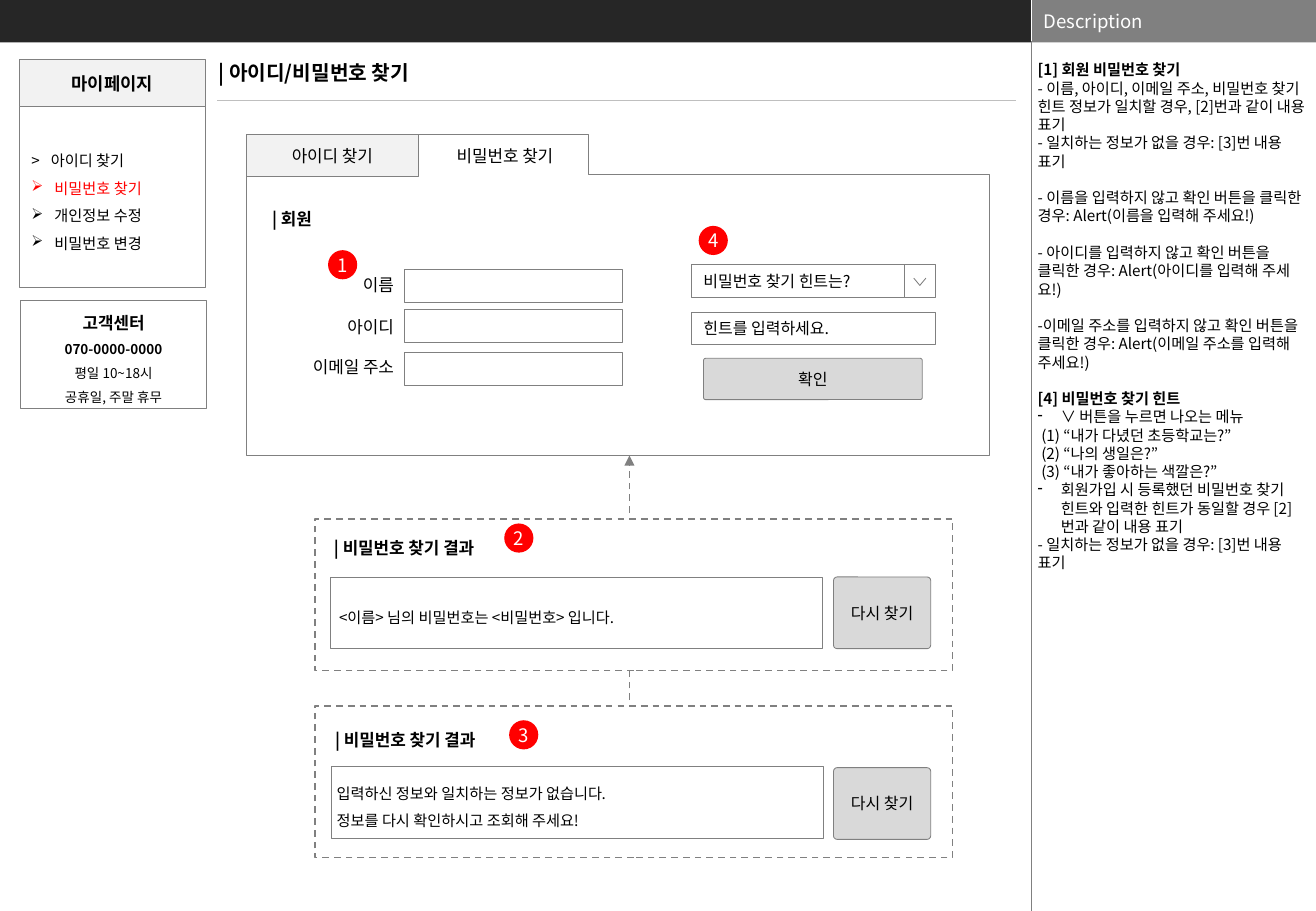
from dataclasses import dataclass
from typing import Optional, Union

from lxml.etree import SubElement
from pptx import Presentation
from pptx.dml.color import RGBColor
from pptx.enum.dml import MSO_LINE
from pptx.enum.shapes import MSO_CONNECTOR, MSO_SHAPE
from pptx.enum.text import MSO_ANCHOR, MSO_AUTO_SIZE, PP_ALIGN
from pptx.oxml.ns import qn
from pptx.util import Pt

PX = 9144


@dataclass(frozen=True)
class Theme:
    font: str = "Noto Sans CJK KR"
    black: str = "000000"
    white: str = "FFFFFF"
    dark: str = "262626"
    gray: str = "808080"
    rule: str = "BFBFBF"
    button: str = "D9D9D9"
    tab: str = "F2F2F2"
    red: str = "FF0000"
    title: float = 12
    header: float = 11
    menu: float = 10.5
    label: float = 10
    control: float = 9.5
    body: float = 9
    small: float = 8
    hair: float = 0.25
    thin: float = 0.5
    medium: float = 0.75
    thick: float = 1


T = Theme()
RECT, ROUND, OVAL = MSO_SHAPE.RECTANGLE, MSO_SHAPE.ROUNDED_RECTANGLE, MSO_SHAPE.OVAL
LEFT, CENTER, RIGHT = PP_ALIGN.LEFT, PP_ALIGN.CENTER, PP_ALIGN.RIGHT
TOP, MIDDLE = MSO_ANCHOR.TOP, MSO_ANCHOR.MIDDLE


@dataclass(frozen=True)
class Para:
    text: str
    size: float = T.body
    bold: bool = False
    color: str = T.black
    align: PP_ALIGN = LEFT
    spacing: Optional[float] = None
    before: float = 0
    margin: int = 0
    hang: int = 0
    bullet: str = ""


@dataclass(frozen=True)
class Box:
    x: int
    y: int
    w: int
    h: int
    paras: tuple[Para, ...] = ()
    shape: Optional[MSO_SHAPE] = RECT
    adj: tuple[float, ...] = ()
    fill: Optional[str] = None
    line: Optional[str] = T.gray
    weight: float = T.thin
    dash: bool = False
    inset: tuple[int, int] = (10, 5)
    anchor: MSO_ANCHOR = MIDDLE
    wrap: bool = True


@dataclass(frozen=True)
class Line:
    x1: int
    y1: int
    x2: int
    y2: int
    color: str = T.gray
    weight: float = T.hair
    dash: bool = False
    arrow: bool = False


@dataclass(frozen=True)
class Chevron:
    points: tuple[tuple[int, int], ...]


def draw_para(p, para: Para) -> None:
    p.text = para.text
    p.alignment = para.align
    if para.spacing:
        p.line_spacing = para.spacing
    if para.before:
        p.space_before = Pt(para.before)
    pPr = p._p.get_or_add_pPr()
    pPr.set("marL", str(para.margin * PX))
    pPr.set("indent", str(-para.hang * PX))
    if para.bullet:
        SubElement(pPr, qn("a:buChar")).set("char", para.bullet)
    for r in p.runs:
        r.font.size, r.font.bold, r.font.name = Pt(para.size), para.bold, T.font
        r.font.color.rgb = RGBColor.from_string(para.color)
        SubElement(r._r.get_or_add_rPr(), qn("a:ea")).set("typeface", T.font)


def paint(s, fill: Optional[str], line: Optional[str], weight: float, dash: bool) -> None:
    s.shadow.inherit = False
    if fill:
        s.fill.solid()
        s.fill.fore_color.rgb = RGBColor.from_string(fill)
    else:
        s.fill.background()
    if line:
        s.line.color.rgb = RGBColor.from_string(line)
        s.line.width = Pt(weight)
        if dash:
            s.line.dash_style = MSO_LINE.DASH
    else:
        s.line.fill.background()


def draw_box(shapes, b: Box) -> None:
    frame = [v * PX for v in (b.x, b.y, b.w, b.h)]
    if b.shape is None:
        s = shapes.add_textbox(*frame)
    else:
        s = shapes.add_shape(b.shape, *frame)
        for i, value in enumerate(b.adj):
            s.adjustments[i] = value
        paint(s, b.fill, b.line, b.weight, b.dash)
    tf = s.text_frame
    tf.word_wrap, tf.vertical_anchor = b.wrap, b.anchor
    tf.margin_left = tf.margin_right = b.inset[0] * PX
    tf.margin_top = tf.margin_bottom = b.inset[1] * PX
    if b.shape is None and not b.wrap:
        tf.auto_size = MSO_AUTO_SIZE.SHAPE_TO_FIT_TEXT
    for i, para in enumerate(b.paras):
        draw_para(tf.add_paragraph() if i else tf.paragraphs[0], para)


def draw_line(shapes, l: Line) -> None:
    ends = [v * PX for v in (l.x1, l.y1, l.x2, l.y2)]
    s = shapes.add_connector(MSO_CONNECTOR.STRAIGHT, *ends)
    s.line.color.rgb = RGBColor.from_string(l.color)
    s.line.width = Pt(l.weight)
    if l.dash:
        s.line.dash_style = MSO_LINE.DASH
    if l.arrow:
        SubElement(s.line._get_or_add_ln(), qn("a:tailEnd")).set("type", "triangle")
    SubElement(s._element.spPr, qn("a:effectLst"))


def draw_chevron(shapes, c: Chevron) -> None:
    builder = shapes.build_freeform(*c.points[0], scale=PX)
    builder.add_line_segments(c.points[1:], close=False)
    paint(builder.convert_to_shape(), T.white, T.gray, T.thin, False)


def draw(shapes, item: Union[Box, Line, Chevron]) -> None:
    {Box: draw_box, Line: draw_line, Chevron: draw_chevron}[type(item)](shapes, item)


def label(x: int, y: int, w: int, text: str, bold: bool = False, align: PP_ALIGN = LEFT) -> Box:
    return Box(x, y, w, 27, (Para(text, T.label, bold, align=align),), None, anchor=TOP, wrap=False)


def badge(x: int, y: int, text: str) -> Box:
    return Box(x, y, 24, 24, (Para(text, T.header, color=T.white, align=CENTER),), OVAL,
               fill=T.red, line=None, inset=(0, 0), wrap=False)


def button(x: int, y: int, w: int, h: int, text: str) -> Box:
    return Box(x, y, w, h, (Para(text, T.control, align=CENTER),), ROUND, (0.05,), T.button, inset=(5, 5))


def hint(y: int, w: int, text: str) -> Box:
    return Box(569, y, w, 27, (Para(text, T.control),), fill=T.white, inset=(10, 6))


def result(y: int, title: Box, note: Box, again_y: int, mark: Box) -> list[Box]:
    panel = Box(259, y, 525, 125, fill=T.white, weight=T.thick, dash=True)
    return [panel, title, note, button(686, again_y, 80, 59, "다시 찾기"), mark]


def message(x: int, y: int, *paras: Para) -> Box:
    return Box(x, y, 405, 59, paras, fill=T.white, inset=(4, 4))


GAP = 10.8
DESCRIPTION = (
    Para("[1] 회원 비밀번호 찾기", bold=True),
    Para("- 이름, 아이디, 이메일 주소, 비밀번호 찾기 힌트 정보가 일치할 경우, [2]번과 같이 내용 표기"),
    Para("- 일치하는 정보가 없을 경우: [3]번 내용 표기"),
    Para("- 이름을 입력하지 않고 확인 버튼을 클릭한 경우: Alert(이름을 입력해 주세요!)", before=GAP),
    Para("- 아이디를 입력하지 않고 확인 버튼을 클릭한 경우: Alert(아이디를 입력해 주세요!)", before=GAP),
    Para("-이메일 주소를 입력하지 않고 확인 버튼을 클릭한 경우: Alert(이메일 주소를 입력해 주세요!)", before=GAP),
    Para("[4] 비밀번호 찾기 힌트", bold=True, before=GAP),
    Para("∨ 버튼을 누르면 나오는 메뉴", margin=19, hang=19, bullet="-"),
    *(Para(t, margin=3) for t in ("(1) “내가 다녔던 초등학교는?”", "(2) “나의 생일은?”", "(3) “내가 좋아하는 색깔은?”")),
    Para("회원가입 시 등록했던 비밀번호 찾기 힌트와 입력한 힌트가 동일할 경우 [2] 번과 같이 내용 표기",
         margin=19, hang=19, bullet="-"),
    Para("- 일치하는 정보가 없을 경우: [3]번 내용 표기"),
)
MENU = (
    Para(">\t아이디 찾기", spacing=1.5, margin=16, hang=16),
    *(Para(t, color=c, spacing=1.5, margin=19, hang=19, bullet="➢") for t, c in (
        ("비밀번호 찾기", T.red), ("개인정보 수정", T.black), ("비밀번호 변경", T.black))),
)
CONTACT = tuple(Para(t, size, bold, align=CENTER, spacing=1.5) for t, size, bold in (
    ("고객센터", T.label, True), ("070-0000-0000", T.small, True),
    ("평일 10~18시", T.small, False), ("공휴일, 주말 휴무", T.small, False)))
FIELDS = ((222, label(286, 221, 48, "이름", align=RIGHT)),
          (255, label(270, 256, 64, "아이디", align=RIGHT)),
          (290, label(239, 289, 95, "이메일 주소", align=RIGHT)))

ITEMS = [
    Box(0, 0, 849, 35, fill=T.dark, line=None),
    Box(849, 0, 234, 35, fill=T.gray, line=None),
    Line(849, 0, 849, 35, T.white),
    Line(849, 34, 849, 750),
    Box(849, 0, 234, 34, (Para("Description", T.header, color=T.white),), None),
    Box(850, 50, 234, 700, DESCRIPTION, None, inset=(4, 0), anchor=TOP),
    Box(170, 45, 272, 30, (Para("| 아이디/비밀번호 찾기", T.title, True),), None, anchor=TOP),
    Line(179, 83, 836, 83, T.rule, T.medium),
    Box(16, 88, 153, 149, MENU, ROUND, (0,)),
    Box(16, 49, 153, 39, (Para("마이페이지", T.menu, True, align=CENTER),), ROUND, (0,), T.tab),
    Box(17, 247, 153, 89, CONTACT, inset=(4, 4), wrap=False),
    Box(203, 111, 611, 264, shape=MSO_SHAPE.CORNER, adj=(0.877, 1.064), fill=T.white),
    Box(203, 111, 141, 34, (Para("아이디 찾기", T.label, align=CENTER),), fill=T.tab),
    Box(345, 111, 141, 34, (Para("비밀번호 찾기", T.label, align=CENTER),), None),
    label(214, 167, 58, "| 회원", True),
    *(Box(333, y, 179, 27) for y, _ in FIELDS),
    *(caption for _, caption in FIELDS),
    hint(218, 193, "비밀번호 찾기 힌트는?"),
    Box(744, 218, 26, 27, fill=T.white),
    Chevron(((762, 229), (757, 235), (752, 229))),
    hint(257, 201, "힌트를 입력하세요."),
    button(579, 295, 180, 34, "확인"),
    badge(270, 206, "1"),
    badge(575, 186, "4"),
    Line(518, 615, 518, 375, weight=T.thick, dash=True, arrow=True),
    *result(427, label(265, 438, 151, "| 비밀번호 찾기 결과", True),
            message(272, 475, Para("<이름> 님의 비밀번호는 <비밀번호> 입니다.", spacing=1.5, margin=3)),
            475, badge(415, 431, "2")),
    *result(581, label(266, 596, 151, "| 비밀번호 찾기 결과", True),
            message(273, 631, Para("입력하신 정보와 일치하는 정보가 없습니다.", spacing=1.5),
                    Para("정보를 다시 확인하시고 조회해 주세요!", spacing=1.5)),
            632, badge(419, 593, "3")),
]


def main() -> None:
    prs = Presentation()
    prs.slide_width, prs.slide_height = 1083 * PX, 750 * PX
    shapes = prs.slides.add_slide(prs.slide_layouts[6]).shapes
    for item in ITEMS:
        draw(shapes, item)
    prs.save("out.pptx")


if __name__ == "__main__":
    main()
